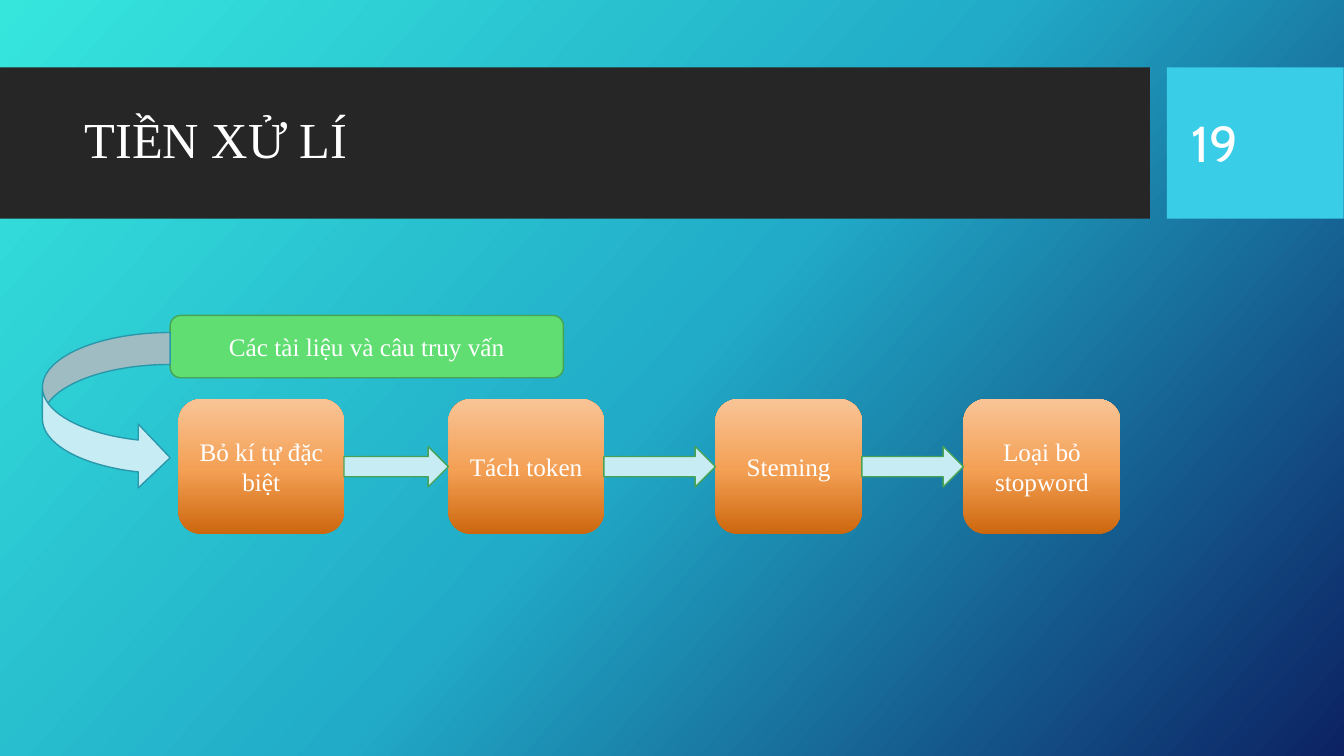
from dataclasses import dataclass
from itertools import pairwise

import lxml.etree
import pptx
import pptx.dml.color
import pptx.enum.shapes
import pptx.enum.text
import pptx.oxml.ns
import pptx.util

Cm = pptx.util.Cm
Pt = pptx.util.Pt
Kind = pptx.enum.shapes.MSO_SHAPE
Align = pptx.enum.text.PP_ALIGN

SERIF = "Times New Roman"
WHITE = "FFFFFF"
GREEN_LINE = "47A454"
ARROW_FILL = "C8ECF4"
STEP_TOP, STEP_HEIGHT = 10.06, 3.4
ARROW_HEIGHT = 1.02


@dataclass(frozen=True)
class Frame:
    left: float
    top: float
    width: float
    height: float

    def lengths(self) -> tuple:
        return Cm(self.left), Cm(self.top), Cm(self.width), Cm(self.height)


@dataclass(frozen=True)
class Gradient:
    stops: tuple[tuple[int, str], ...]
    angle: float


@dataclass(frozen=True)
class Step:
    text: str
    left: float
    width: float

    @property
    def right(self) -> float:
        return self.left + self.width


BACKGROUND = Gradient(((0, "36E6DD"), (50, "21ABC8"), (100, "0C2263")), 42)
ORANGE = Gradient(((0, "CC670D"), (48, "F4A055"), (100, "F8C496")), 270)

STEPS = (
    Step("Bỏ kí tự đặc biệt", 4.5, 4.17),
    Step("Tách token", 11.3, 3.92),
    Step("Steming", 18.03, 3.69),
    Step("Loại bỏ stopword", 24.28, 3.96),
)


def rgb(value: str) -> pptx.dml.color.RGBColor:
    return pptx.dml.color.RGBColor.from_string(value)


def apply_gradient(owner, fill, gradient: Gradient) -> None:
    qn = pptx.oxml.ns.qn
    fill.gradient()
    fill.gradient_angle = 360 - gradient.angle
    stop_list = next(owner.element.iter(qn("a:gsLst")))
    for stop in list(stop_list):
        stop_list.remove(stop)
    for position, color in gradient.stops:
        stop = lxml.etree.SubElement(stop_list, qn("a:gs"), pos=str(position * 1000))
        lxml.etree.SubElement(stop, qn("a:srgbClr"), val=color)


def write_text(shape, text: str, size: float, font: str, align: Align) -> None:
    frame = shape.text_frame
    frame.word_wrap = True
    frame.vertical_anchor = pptx.enum.text.MSO_ANCHOR.MIDDLE
    frame.text = text
    para = frame.paragraphs[0]
    para.alignment = align
    for span in para.runs:
        span.font.size = Pt(size)
        span.font.name = font
        span.font.color.rgb = rgb(WHITE)


def add_block(page, kind: Kind, frame: Frame, fill: str | Gradient, line: str = ""):
    shape = page.shapes.add_shape(kind, *frame.lengths())
    shape.shadow.inherit = False
    if isinstance(fill, Gradient):
        apply_gradient(shape, shape.fill, fill)
    else:
        shape.fill.solid()
        shape.fill.fore_color.rgb = rgb(fill)
    if line:
        shape.line.color.rgb = rgb(line)
        shape.line.width = Pt(1)
    else:
        shape.line.fill.background()
    return shape


def add_heading(page, frame: Frame, text: str, font: str):
    box = page.shapes.add_textbox(*frame.lengths())
    write_text(box, text, 36, font, Align.LEFT)
    return box


def add_header(page) -> None:
    add_block(page, Kind.RECTANGLE, Frame(0, 1.7, 28.98, 3.81), "262626")
    add_block(page, Kind.RECTANGLE, Frame(29.41, 1.7, 4.45, 3.81), "39CDE7")
    title = add_heading(page, Frame(1.88, 2.08, 26.7, 3), "TIỀN XỬ LÍ", SERIF)
    title.text_frame.paragraphs[0].line_spacing = 0.9
    add_heading(page, Frame(29.79, 2.08, 3.2, 3.02), "19", "Cabin")


def add_pipeline(page) -> None:
    for step in STEPS:
        frame = Frame(step.left, STEP_TOP, step.width, STEP_HEIGHT)
        shape = add_block(page, Kind.ROUNDED_RECTANGLE, frame, ORANGE)
        write_text(shape, step.text, 18, SERIF, Align.CENTER)
    arrow_top = STEP_TOP + (STEP_HEIGHT - ARROW_HEIGHT) / 2
    for step, following in pairwise(STEPS):
        frame = Frame(step.right, arrow_top, following.left - step.right, ARROW_HEIGHT)
        add_block(page, Kind.RIGHT_ARROW, frame, ARROW_FILL, GREEN_LINE)


def add_input(page) -> None:
    frame = Frame(4.29, 7.95, 9.91, 1.57)
    documents = add_block(page, Kind.ROUNDED_RECTANGLE, frame, "60DE72", GREEN_LINE)
    write_text(documents, "Các tài liệu và câu truy vấn", 18, SERIF, Align.CENTER)
    arrow = Frame(1.07, 8.38, 3.22, 3.96)
    add_block(page, Kind.CURVED_RIGHT_ARROW, arrow, ARROW_FILL, "2A98AB")


def main() -> None:
    deck = pptx.Presentation()
    deck.slide_width, deck.slide_height = Cm(33.87), Cm(19.05)
    page = deck.slides.add_slide(deck.slide_layouts[6])
    apply_gradient(page, page.background.fill, BACKGROUND)
    add_header(page)
    add_pipeline(page)
    add_input(page)
    deck.save("out.pptx")


if __name__ == "__main__":
    main()
